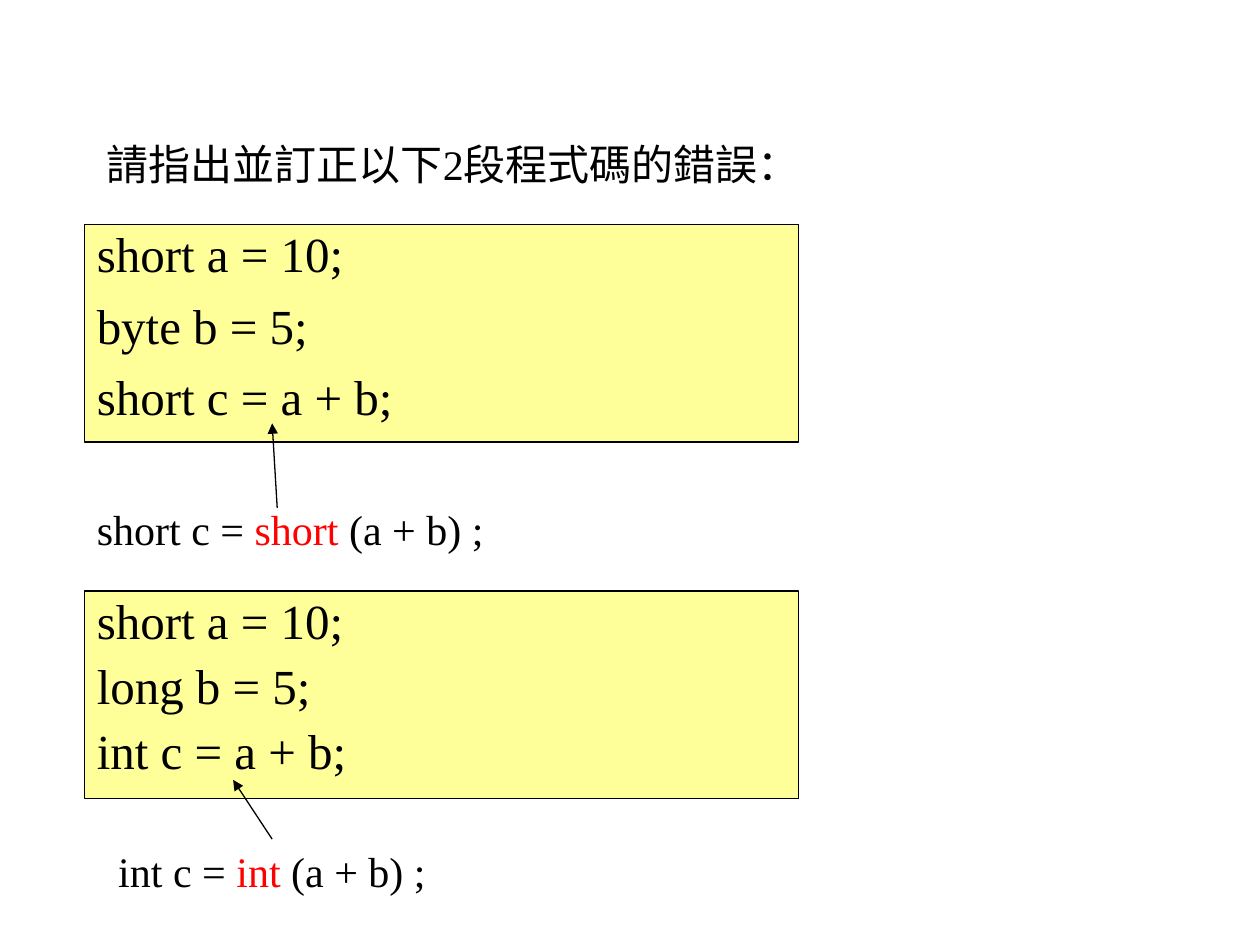
from lxml import etree
from pptx import Presentation
from pptx.dml.color import RGBColor
from pptx.enum import shapes, text
from pptx.oxml import ns
from pptx.util import Inches, Pt

BLACK = RGBColor(0x00, 0x00, 0x00)
RED = RGBColor(0xFF, 0x00, 0x00)
YELLOW = RGBColor(0xFF, 0xFF, 0x99)
FONT = "Times New Roman"


def add_run(para, words, size, color=BLACK):
    """Add one styled run to a paragraph."""
    run = para.add_run()
    run.text = words
    run.font.name = FONT
    run.font.size = Pt(size)
    run.font.color.rgb = color


def add_title(slide, words, left, top, width, height):
    """Place the question in a vertically centred box."""
    box = slide.shapes.add_textbox(*map(Inches, (left, top, width, height)))
    frame = box.text_frame
    frame.word_wrap = True
    frame.vertical_anchor = text.MSO_ANCHOR.MIDDLE
    add_run(frame.paragraphs[0], words, 24)


def add_code(slide, lines, spacing, left, top, width, height):
    """Place a yellow panel with one paragraph and line spacing per code line."""
    panel = slide.shapes.add_shape(
        shapes.MSO_SHAPE.RECTANGLE, *map(Inches, (left, top, width, height)))
    panel.shadow.inherit = False
    panel.fill.solid()
    panel.fill.fore_color.rgb = YELLOW
    panel.line.color.rgb = BLACK
    panel.line.width = Pt(0.75)
    frame = panel.text_frame
    frame.word_wrap = True
    frame.vertical_anchor = text.MSO_ANCHOR.TOP
    for i, (line, gap) in enumerate(zip(lines, spacing)):
        para = frame.add_paragraph() if i else frame.paragraphs[0]
        para.alignment = text.PP_ALIGN.LEFT
        para.line_spacing = gap
        para.space_before = Pt(7 if i else 0)
        add_run(para, line, 28)


def add_arrow(slide, start, end):
    """Draw a thin line with an arrowhead at its end."""
    arrow = slide.shapes.add_connector(
        shapes.MSO_CONNECTOR.STRAIGHT, *map(Inches, start + end))
    arrow.line.color.rgb = BLACK
    arrow.line.width = Pt(0.75)
    etree.SubElement(arrow.line._get_or_add_ln(), ns.qn("a:tailEnd"), type="triangle")
    etree.SubElement(arrow._element.spPr, ns.qn("a:effectLst"))


def add_fix(slide, parts, left, top, width, height, start, end):
    """Place a corrected line and its arrow, given relative to the box."""
    add_arrow(slide, *((left + x, top + y) for x, y in (start, end)))
    box = slide.shapes.add_textbox(*map(Inches, (left, top, width, height)))
    frame = box.text_frame
    frame.word_wrap = True
    frame.auto_size = text.MSO_AUTO_SIZE.SHAPE_TO_FIT_TEXT
    for words, color in zip(parts, (BLACK, RED, BLACK)):
        add_run(frame.paragraphs[0], words, 24, color)


def main():
    """Build the slide and save it."""
    deck = Presentation()
    deck.slide_width, deck.slide_height = Inches(10), Inches(7.5)
    slide = deck.slides.add_slide(deck.slide_layouts[6])
    add_title(slide, "請指出並訂正以下2段程式碼的錯誤：", 0.75, 0.67, 8.5, 1.25)
    add_code(slide, ("short a = 10;", "long b = 5;", "int c = a + b;"),
             (0.9, 0.9, 0.9), 0.67, 4.69, 5.67, 1.65)
    add_code(slide, ("short a = 10;", "byte b = 5;", "short c = a + b;"),
             (0.9, 1.0, 1.0), 0.67, 1.78, 5.67, 1.73)
    add_fix(slide, ("short c = ", "short ", "(a + b) ;"),
            0.67, 3.95, 4.1, 0.5, (1.53, 0.08), (1.49, -0.59))
    add_fix(slide, ("int c = ", "int ", "(a + b) ;"),
            0.84, 6.66, 4.1, 0.5, (1.32, 0), (1.01, -0.47))
    deck.save("out.pptx")


if __name__ == "__main__":
    main()
